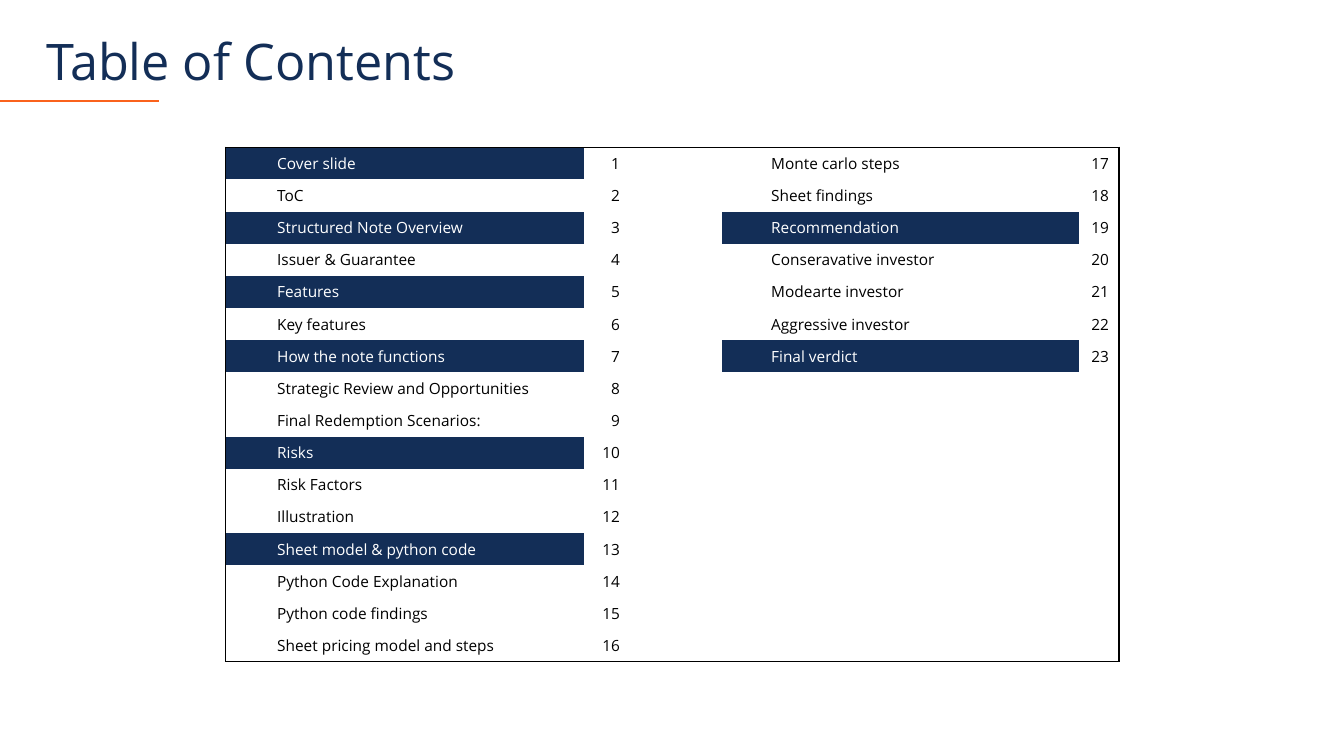
from pptx import Presentation
from pptx.dml.color import RGBColor
from pptx.enum.shapes import MSO_CONNECTOR
from pptx.enum.text import MSO_ANCHOR, PP_ALIGN
from pptx.oxml.ns import qn
from pptx.util import Cm, Pt
from lxml.etree import SubElement

FONT = "Open Sans"
NAVY, ORANGE, WHITE, BLACK = "132E57", "FA621C", "FFFFFF", "000000"
NO_STYLE = "{2D5ABB26-0587-4C30-8999-92F81FD0307C}"

COL_WIDTHS = [1.04, 7.98, 1.17, 2.31, 0.99, 8.0, 1.02]
ROW_HEIGHT = 0.81
ROWS = 16
ENTRIES = [
    "Cover slide", "ToC", "Structured Note Overview", "Issuer & Guarantee",
    "Features", "Key features", "How the note functions",
    "Strategic Review and Opportunities", "Final Redemption Scenarios:",
    "Risks", "Risk Factors", "Illustration", "Sheet model & python code",
    "Python Code Explanation", "Python code findings",
    "Sheet pricing model and steps", "Monte carlo steps", "Sheet findings",
    "Recommendation", "Conseravative investor", "Modearte investor",
    "Aggressive investor", "Final verdict",
]
SECTION_PAGES = {1, 3, 5, 7, 10, 13, 19, 23}


def rgb(value):
    return RGBColor.from_string(value)


def set_attrs(obj, values):
    for name, value in values.items():
        setattr(obj, name, value)


def write(tf, text, size, color, align):
    p = tf.paragraphs[0]
    p.alignment = align
    r = p.add_run()
    r.text = text
    set_attrs(r.font, {"name": FONT, "size": Pt(size)})
    r.font.color.rgb = rgb(color)
    return p


def add_title(s, text):
    title = s.shapes.title
    set_attrs(title, {"left": Cm(0.91), "top": Cm(-0.23),
                      "width": Cm(29.21), "height": Cm(3.68)})
    title.text_frame.vertical_anchor = MSO_ANCHOR.MIDDLE
    p = write(title.text_frame, text, 36, NAVY, PP_ALIGN.LEFT)
    p.line_spacing = 0.9


def add_rule(s):
    line = s.shapes.add_connector(MSO_CONNECTOR.STRAIGHT,
                                  Cm(0), Cm(2.54), Cm(4.02), Cm(2.54))
    line.line.color.rgb = rgb(ORANGE)
    line.line.width = Pt(1.5)
    SubElement(line._element.spPr, qn("a:effectLst"))


def add_borders(cell, sides):
    tcPr = cell._tc.get_or_add_tcPr()
    for side in sides:
        ln = SubElement(tcPr, qn(f"a:ln{side}"), w=str(Pt(1)))
        fill = SubElement(ln, qn("a:solidFill"))
        SubElement(fill, qn("a:srgbClr"), val=BLACK)


def add_contents(s):
    table = s.shapes.add_table(ROWS, len(COL_WIDTHS), Cm(5.69), Cm(3.71),
                               Cm(sum(COL_WIDTHS)), Cm(ROWS * ROW_HEIGHT)).table
    set_attrs(table, {"first_row": False, "horz_banding": False})
    table._tbl.tblPr.find(qn("a:tableStyleId")).text = NO_STYLE
    for col, width in zip(table.columns, COL_WIDTHS):
        col.width = Cm(width)
    for row in table.rows:
        row.height = Cm(ROW_HEIGHT)
    last_row, last_col = ROWS - 1, len(COL_WIDTHS) - 1
    table.cell(last_row, 3).merge(table.cell(last_row, last_col))

    # Outer frame and white ground
    for i in range(ROWS):
        for j in range(last_col + 1):
            cell = table.cell(i, j)
            set_attrs(cell, {"margin_top": 0, "margin_bottom": 0,
                             "vertical_anchor": MSO_ANCHOR.MIDDLE})
            edges = {"L": j == 0, "R": j + cell.span_width > last_col,
                     "T": i == 0, "B": i == last_row}
            add_borders(cell, [side for side, on in edges.items() if on])
            cell.fill.solid()
            cell.fill.fore_color.rgb = rgb(WHITE)

    # Entries run down the left block, then the right one
    for page, entry in enumerate(ENTRIES, 1):
        block, i = divmod(page - 1, ROWS)
        indent, name, number = (table.cell(i, 4 * block + k) for k in range(3))
        is_section = page in SECTION_PAGES
        if is_section:
            for cell in (indent, name):
                cell.fill.fore_color.rgb = rgb(NAVY)
        write(name.text_frame, entry, 11, WHITE if is_section else BLACK,
              PP_ALIGN.LEFT)
        write(number.text_frame, str(page), 11, BLACK, PP_ALIGN.RIGHT)


def main():
    prs = Presentation()
    set_attrs(prs, {"slide_width": Cm(33.87), "slide_height": Cm(19.05)})
    s = prs.slides.add_slide(prs.slide_layouts[5])
    add_rule(s)
    add_title(s, "Table of Contents")
    add_contents(s)
    prs.save("out.pptx")


if __name__ == "__main__":
    main()
